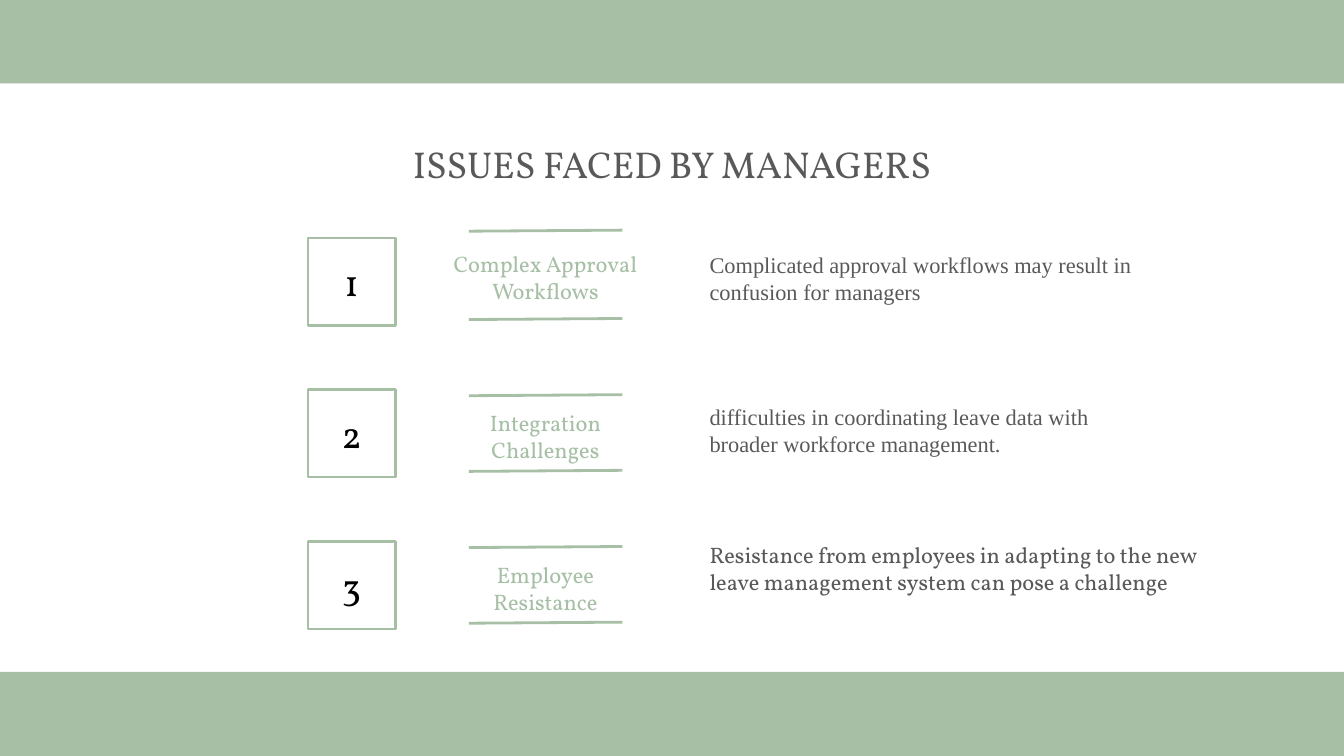
from dataclasses import dataclass

from lxml.etree import SubElement
from pptx import Presentation
from pptx.dml.color import RGBColor
from pptx.enum.shapes import MSO_CONNECTOR, MSO_SHAPE
from pptx.enum.text import MSO_ANCHOR as Anchor, PP_ALIGN as Align
from pptx.oxml.ns import qn
from pptx.util import Cm, Pt

SAGE = RGBColor(0xA6, 0xBF, 0xA5)
WHITE = RGBColor(0xFF, 0xFF, 0xFF)
BLACK = RGBColor(0, 0, 0)
GREY = RGBColor(0x59, 0x59, 0x59)
SERIF, TIMES = "Vollkorn", "Times New Roman"

PAGE_WIDTH, PAGE_HEIGHT = Cm(25.4), Cm(14.29)
INSET = Cm(0.25)
LINE_WIDTH = Pt(1.5)
FIRST_ROW_TOP, ROW_PITCH = Cm(4.5), Cm(2.87)
ROW_LEFT, ROW_HEIGHT = Cm(5.82), Cm(1.65)


@dataclass
class Box:
    left: int
    top: int
    width: int
    height: int

    def edges(self):
        return self.left, self.top, self.width, self.height


@dataclass
class Issue:
    label: str
    detail: str
    detail_font: str = TIMES
    detail_width: int = Cm(8.71)
    detail_rise: int = 0
    label_width: int = Cm(4.62)
    label_height: int = Cm(1.24)
    label_bottom: int = Cm(1.63)
    upper_rule: int = Cm(0.11)


ISSUES = [
    Issue("Complex Approval Workflows",
          "Complicated approval workflows may result in confusion for managers",
          label_width=Cm(5.51), label_height=Cm(1.63),
          label_bottom=Cm(1.5), upper_rule=Cm(-0.13)),
    Issue("Integration Challenges",
          "difficulties in coordinating leave data with "
          "broader workforce management."),
    Issue("Employee Resistance",
          "Resistance from employees in adapting to the new "
          "leave management system can pose a challenge",
          detail_font=SERIF, detail_width=Cm(10.46), detail_rise=Cm(0.26),
          label_width=Cm(4.17)),
]


def write_text(shape, text, size, color, font=SERIF,
               align=Align.CENTER, anchor=Anchor.TOP):
    frame = shape.text_frame
    frame.word_wrap = True
    frame.vertical_anchor = anchor
    frame.margin_left = frame.margin_right = INSET
    frame.margin_top = frame.margin_bottom = INSET
    para = frame.paragraphs[0]
    para.text = text
    para.alignment = align
    para.font.name = font
    para.font.size = Pt(size)
    para.font.color.rgb = color
    return para


def add_rectangle(page, box, fill):
    shape = page.shapes.add_shape(MSO_SHAPE.RECTANGLE, *box.edges())
    shape.shadow.inherit = False
    shape.fill.solid()
    shape.fill.fore_color.rgb = fill
    shape.line.fill.background()
    return shape


def add_number(page, box, number):
    square = add_rectangle(page, box, WHITE)
    square.line.color.rgb = SAGE
    square.line.width = LINE_WIDTH
    write_text(square, str(number), 20, BLACK, anchor=Anchor.MIDDLE)


def add_rule(page, left, top, width):
    """Draw a rule that rises very slightly to the right."""
    rule = page.shapes.add_connector(
        MSO_CONNECTOR.STRAIGHT, left, top, left + width, top - Cm(0.02))
    rule.line.color.rgb = SAGE
    rule.line.width = LINE_WIDTH
    SubElement(rule._element.spPr, qn("a:effectLst"))


def add_label(page, box, issue):
    """Place the label, centred in the box, between its two rules."""
    left = box.left + (box.width - issue.label_width) // 2
    top = box.top + issue.label_bottom - issue.label_height
    label = page.shapes.add_textbox(
        left, top, issue.label_width, issue.label_height)
    write_text(label, issue.label, 12, SAGE, anchor=Anchor.BOTTOM)
    for offset in (issue.upper_rule, Cm(1.54)):
        add_rule(page, box.left, box.top + offset, box.width)


def add_detail(page, box, issue):
    detail = page.shapes.add_textbox(*box.edges())
    para = write_text(detail, issue.detail, 12, GREY, issue.detail_font,
                      Align.LEFT)
    if issue.detail_font == TIMES:
        para.line_spacing = Pt(14.4)


def add_issue_row(page, box, number, issue):
    add_number(page, Box(box.left, box.top, box.height, box.height), number)
    add_label(page, Box(box.left + Cm(3.04), box.top, Cm(2.9), box.height),
              issue)
    add_detail(page, Box(box.left + Cm(7.34), box.top - issue.detail_rise,
                         issue.detail_width, box.height), issue)


def add_title(page, box):
    title = page.shapes.add_textbox(*box.edges())
    write_text(title, "ISSUES FACED BY MANAGERS", 20, GREY)


def build_issues_page(deck):
    page = deck.slides.add_slide(deck.slide_layouts[6])
    for top in (Cm(-0.06), Cm(12.7)):
        add_rectangle(page, Box(0, top, Cm(25.45), Cm(1.64)), SAGE)
    add_title(page, Box(Cm(1.98), Cm(2.41), Cm(21.44), Cm(1.52)))
    for index, issue in enumerate(ISSUES):
        top = FIRST_ROW_TOP + index * ROW_PITCH
        row = Box(ROW_LEFT, top, PAGE_WIDTH - ROW_LEFT, ROW_HEIGHT)
        add_issue_row(page, row, index + 1, issue)


def main():
    deck = Presentation()
    deck.slide_width, deck.slide_height = PAGE_WIDTH, PAGE_HEIGHT
    build_issues_page(deck)
    deck.save("out.pptx")


if __name__ == "__main__":
    main()
